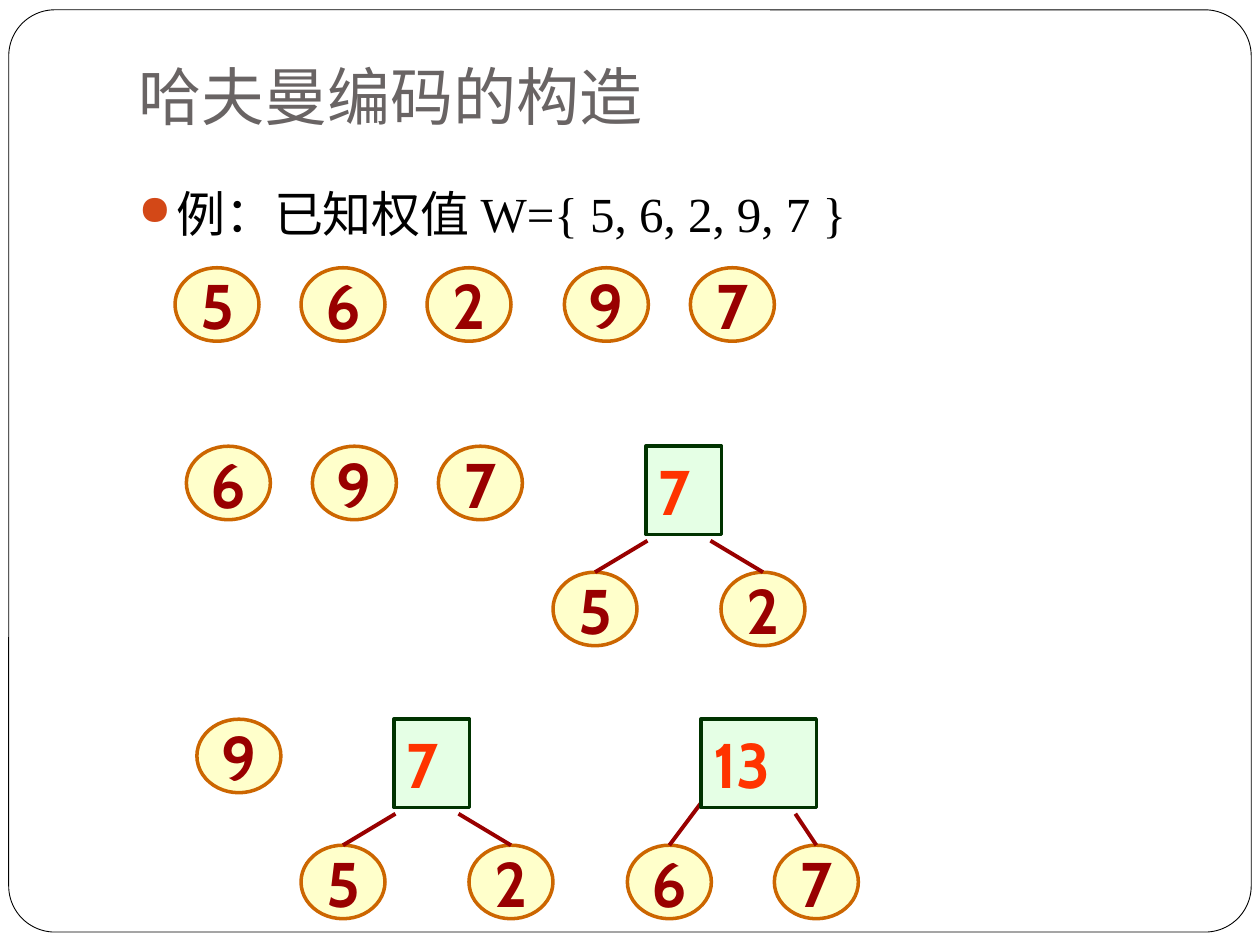
from dataclasses import dataclass

from lxml import etree
from pptx import Presentation
from pptx.dml.color import RGBColor
from pptx.enum.shapes import MSO_CONNECTOR, MSO_SHAPE
from pptx.enum.text import MSO_ANCHOR, MSO_AUTO_SIZE, PP_ALIGN
from pptx.oxml.ns import qn
from pptx.util import Pt

LINE = MSO_CONNECTOR.STRAIGHT
OVAL, RECT, ROUND = MSO_SHAPE.OVAL, MSO_SHAPE.RECTANGLE, MSO_SHAPE.ROUNDED_RECTANGLE
TOP, MID, LOW = MSO_ANCHOR.TOP, MSO_ANCHOR.MIDDLE, MSO_ANCHOR.BOTTOM
FIT = MSO_AUTO_SIZE.SHAPE_TO_FIT_TEXT
LEFT, MIDST = PP_ALIGN.LEFT, PP_ALIGN.CENTER


@dataclass(frozen=True)
class Theme:
    paper: str = "FFFFFF"
    ink: str = "000000"
    head: str = "696464"
    dot: str = "D34817"
    leaf: str = "FFFF99"
    rim: str = "CC6600"
    mark: str = "990000"
    root: str = "CCFFCC"
    edge: str = "003300"
    sum: str = "FF3300"
    big: int = 36
    mid: int = 28
    num: str = "Cabin"
    sans: str = "Lato"
    serif: str = "Times New Roman"
    han: str = "Noto Sans CJK SC"


T = Theme()
LEAF_W, LEAF_H, STEP = 48, 42, 72
ROOT_H, DROP = 50.4, 72


def color(code):
    return RGBColor.from_string(code)


def style(font, face, size, code, bold=False):
    font.name, font.size, font.bold = face, Pt(size), bold
    font.color.rgb = color(code)


def add_han(run):
    props = run._r.get_or_add_rPr()
    etree.SubElement(props, qn("a:ea"), typeface=T.han)


def add_form(slide, kind, x, y, w, h, fill, line, width):
    form = slide.shapes.add_shape(kind, Pt(x), Pt(y), Pt(w), Pt(h))
    form.shadow.inherit = False
    form.fill.solid()
    form.fill.fore_color.rgb = color(fill)
    form.line.color.rgb = color(line)
    form.line.width = Pt(width)
    return form


def add_node(slide, kind, x, y, w, h, value, fill, line, ink):
    node = add_form(slide, kind, x, y, w, h, fill, line, 2)
    tint = node.fill._xPr.find(qn("a:solidFill"))[0]
    etree.SubElement(tint, qn("a:alpha"), val="50000")
    frame = node.text_frame
    para = frame.paragraphs[0]
    para.text = str(value)
    style(para.font, T.num, T.big, ink, True)
    return frame, para


def add_leaf(slide, x, y, value):
    frame, para = add_node(slide, OVAL, x, y, LEAF_W, LEAF_H, value,
                           T.leaf, T.rim, T.mark)
    frame.word_wrap = False
    frame.vertical_anchor = MID
    para.alignment = MIDST


def add_row(slide, x, y, values):
    for i, value in enumerate(values):
        add_leaf(slide, x + i * STEP, y, value)


def add_edge(slide, x, y, to_x, to_y):
    edge = slide.shapes.add_connector(LINE, Pt(x), Pt(y), Pt(to_x), Pt(to_y))
    edge.line.color.rgb = color(T.mark)
    edge.line.width = Pt(2.25)
    etree.SubElement(edge._element.spPr, qn("a:effectLst"))


def add_tree(slide, x, y, w, value, kids):
    for kid, shift, foot, fall in kids:
        add_leaf(slide, x + shift, y + DROP, kid)
        add_edge(slide, x + foot, y + fall, x + shift + LEAF_W / 2, y + DROP)
    frame, para = add_node(slide, RECT, x, y, w, ROOT_H, value,
                           T.root, T.edge, T.sum)
    frame.word_wrap = True
    frame.vertical_anchor = TOP
    frame.auto_size = FIT
    para.alignment = LEFT


def add_frame(slide, x, y, w, h):
    card = add_form(slide, ROUND, x, y, w, h, T.paper, T.ink, 0.5)
    card.adjustments[0] = 0.05


def add_text(slide, x, y, w, h, anchor):
    frame = slide.shapes.add_textbox(Pt(x), Pt(y), Pt(w), Pt(h)).text_frame
    frame.word_wrap = True
    frame.vertical_anchor = anchor
    return frame


def add_title(slide, x, y, w, h):
    frame = add_text(slide, x, y, w, h, LOW)
    frame.margin_bottom = Pt(7.2)
    para = frame.paragraphs[0]
    run = para.add_run()
    run.text = "哈夫曼编码的构造"
    add_han(run)
    style(para.font, T.sans, T.big, T.head)


def add_body(slide, x, y, w, h):
    para = add_text(slide, x, y, w, h, TOP).paragraphs[0]
    para.line_spacing = 1.2
    props = para._p.get_or_add_pPr()
    props.set("marL", str(Pt(21.6)))
    props.set("indent", str(Pt(-21.6)))
    tint = etree.SubElement(props, qn("a:buClr"))
    etree.SubElement(tint, qn("a:srgbClr"), val=T.dot)
    etree.SubElement(props, qn("a:buSzPct"), val="85000")
    etree.SubElement(props, qn("a:buChar"), char="●")
    style(para.font, T.serif, T.mid, T.ink)
    for text, face in (("例：", T.serif), ("已知权值 ", T.han),
                       ("W={ 5, 6, 2, 9, 7 }", T.serif)):
        run = para.add_run()
        run.text = text
        run.font.name = face
        add_han(run)


def main():
    deck = Presentation()
    deck.slide_width, deck.slide_height = Pt(720), Pt(540)
    slide = deck.slides.add_slide(deck.slide_layouts[6])
    add_frame(slide, 5, 5.6, 710, 527)
    add_title(slide, 72, 15, 612, 68.5)
    add_body(slide, 72, 94.5, 612, 385)

    add_row(slide, 100, 153, (5, 6, 2))
    add_row(slide, 322.5, 153, (9, 7))
    add_row(slide, 106.5, 255, (6, 9, 7))
    add_row(slide, 112.5, 411, (9,))

    pair = ((5, -53, 1, 54), (2, 43, 37, 54))
    add_tree(slide, 369, 255, 43.4, 7, pair)
    add_tree(slide, 225, 411, 43.4, 7, pair)
    add_tree(slide, 400.5, 411, 66, 13, ((6, -42, 0, 48), (7, 42, 54, 54)))
    deck.save("out.pptx")


if __name__ == "__main__":
    main()
